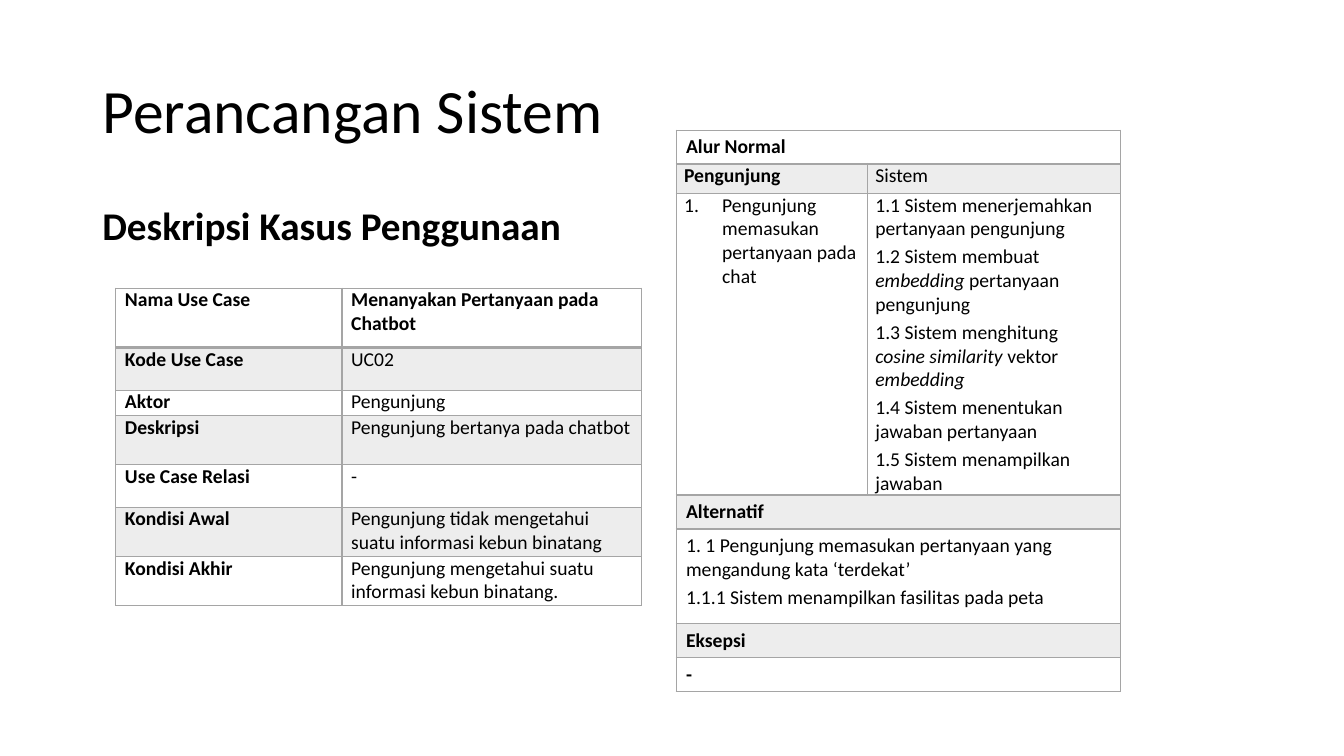
"""Build the "Perancangan Sistem" slide with its two use case tables."""
import lxml.etree
import pptx
import pptx.dml.color
import pptx.enum.text
import pptx.oxml
import pptx.oxml.ns
import pptx.util

Cm, Pt = pptx.util.Cm, pptx.util.Pt
COLOURS = {"text": "000000", "grey": "A5A5A5"}
qn = pptx.oxml.ns.qn


def write_paragraph(para, text, size, bold, spacing):
    """Write text into a paragraph; parts between asterisks are italic."""
    for name, value in spacing.items():
        setattr(para, name, value)
    for index, part in enumerate(text.split("*")):
        if part:
            span = para.add_run()
            span.text = part
            style = {"name": "Calibri", "size": Pt(size), "bold": bold, "italic": index % 2 == 1}
            for name, value in style.items():
                setattr(span.font, name, value)
            span.font.color.rgb = pptx.dml.color.RGBColor.from_string(COLOURS["text"])


def add_border(cell, side, width):
    """Draw one grey edge of a table cell."""
    line = lxml.etree.SubElement(cell._tc.get_or_add_tcPr(), qn(f"a:ln{side}"), w=str(Pt(width)))
    fill = lxml.etree.SubElement(line, qn("a:solidFill"))
    lxml.etree.SubElement(fill, qn("a:srgbClr"), val=COLOURS["grey"])


deck = pptx.Presentation()
deck.slide_width, deck.slide_height = Cm(33.87), Cm(19.05)
page = deck.slides.add_slide(deck.slide_layouts[5])

title = page.shapes.title
subtitle = page.shapes.add_textbox(Cm(2.33), Cm(5.08), Cm(29.21), Cm(1.5))
MIDDLE, TOP = pptx.enum.text.MSO_ANCHOR.MIDDLE, pptx.enum.text.MSO_ANCHOR.TOP
headings = [
    (title, 1.02, 3.68, "Perancangan Sistem", 44, False, MIDDLE),
    (subtitle, 5.08, 1.5, "Deskripsi Kasus Penggunaan", 28, True, TOP),
]
for box, top, height, text, size, bold, anchor in headings:
    box.left, box.top, box.width, box.height = Cm(2.33), Cm(top), Cm(29.21), Cm(height)
    box.text_frame.word_wrap = True
    box.text_frame.vertical_anchor = anchor
    spacing = {"alignment": pptx.enum.text.PP_ALIGN.LEFT, "line_spacing": 0.9}
    write_paragraph(box.text_frame.paragraphs[0], text, size, bold, spacing)

use_case = {
    "place": (2.92, 7.26),
    "columns": [5.7, 7.55],
    "heights": [1.5, 1.07, 0.64, 1.24, 1.07, 1.24, 1.24],
    "padding": 0.23,
    "bold": {(0, 1)} | {(row, 0) for row in range(7)},
    "rows": [
        [["Nama Use Case"], ["Menanyakan Pertanyaan pada Chatbot"]],
        [["Kode Use Case"], ["UC02"]],
        [["Aktor"], ["Pengunjung"]],
        [["Deskripsi"], ["Pengunjung bertanya pada chatbot"]],
        [["Use Case Relasi"], ["-"]],
        [["Kondisi Awal"], ["Pengunjung tidak mengetahui suatu informasi kebun binatang"]],
        [["Kondisi Akhir"], ["Pengunjung mengetahui suatu informasi kebun binatang."]],
    ],
}
flow = {
    "place": (17.04, 3.28),
    "columns": [4.82, 6.37],
    "heights": [0.84, 0.74, 7.6, 0.84, 2.39, 0.84, 0.84],
    "padding": 0.2,
    "bold": {(row, 0) for row in (0, 1, 3, 5, 6)},
    "rows": [
        [["Alur Normal"]],
        [["Pengunjung"], ["Sistem"]],
        [["Pengunjung memasukan pertanyaan pada chat"], [
            "1.1 Sistem menerjemahkan pertanyaan pengunjung",
            "1.2 Sistem membuat *embedding *pertanyaan pengunjung",
            "1.3 Sistem menghitung *cosine similarity *vektor *embedding*",
            "1.4 Sistem menentukan jawaban pertanyaan",
            "1.5 Sistem menampilkan jawaban",
        ]],
        [["Alternatif"]],
        [["1. 1 Pengunjung memasukan pertanyaan yang mengandung kata ‘terdekat’",
          "1.1.1 Sistem menampilkan fasilitas pada peta"]],
        [["Eksepsi"]],
        [["-"]],
    ],
}

for data in (use_case, flow):
    left, top = data["place"]
    frame = page.shapes.add_table(len(data["rows"]), 2, Cm(left), Cm(top),
                                  Cm(sum(data["columns"])), Cm(sum(data["heights"])))
    table = frame.table
    table.first_row = table.horz_banding = False
    for column, width in zip(table.columns, data["columns"]):
        column.width = Cm(width)
    for row, (height, texts) in enumerate(zip(data["heights"], data["rows"])):
        table.rows[row].height = Cm(height)
        spanned = len(texts) == 1
        if spanned:
            table.cell(row, 0).merge(table.cell(row, 1))
        for col in range(2):
            cell = table.cell(row, col)
            for side in "LRTB":
                add_border(cell, side, 2 if (row, side) in ((0, "B"), (1, "T")) else 1)
            if row % 2:
                cell.fill.solid()
                cell.fill.fore_color.rgb = pptx.dml.color.RGBColor.from_string(COLOURS["grey"])
                shade = cell._tc.tcPr.find(qn("a:solidFill"))[0]
                lxml.etree.SubElement(shade, qn("a:alpha"), val="20000")
            else:
                cell.fill.background()
        for col, lines in enumerate(texts):
            cell = table.cell(row, col)
            cell.margin_left = cell.margin_right = Cm(0.25 if spanned else data["padding"])
            cell.margin_top = cell.margin_bottom = Cm(0.13 if spanned else 0)
            for index, text in enumerate(lines):
                para = cell.text_frame.add_paragraph() if index else cell.text_frame.paragraphs[0]
                spacing = {"space_before": Pt(2 if index else 0), "space_after": Pt(0.8)}
                write_paragraph(para, text, 14, (row, col) in data["bold"], spacing)

step = table.cell(2, 0).text_frame.paragraphs[0]._p.get_or_add_pPr()
step.set("marL", str(Cm(0.96)))
step.set("indent", str(-Cm(0.96)))
lxml.etree.SubElement(step, qn("a:buFont"), typeface="+mj-lt")
lxml.etree.SubElement(step, qn("a:buAutoNum"), type="arabicPeriod")
tabs = lxml.etree.SubElement(step, qn("a:tabLst"))
lxml.etree.SubElement(tabs, qn("a:tab"), pos=str(Cm(0.56)), algn="l")

deck.save("out.pptx")
